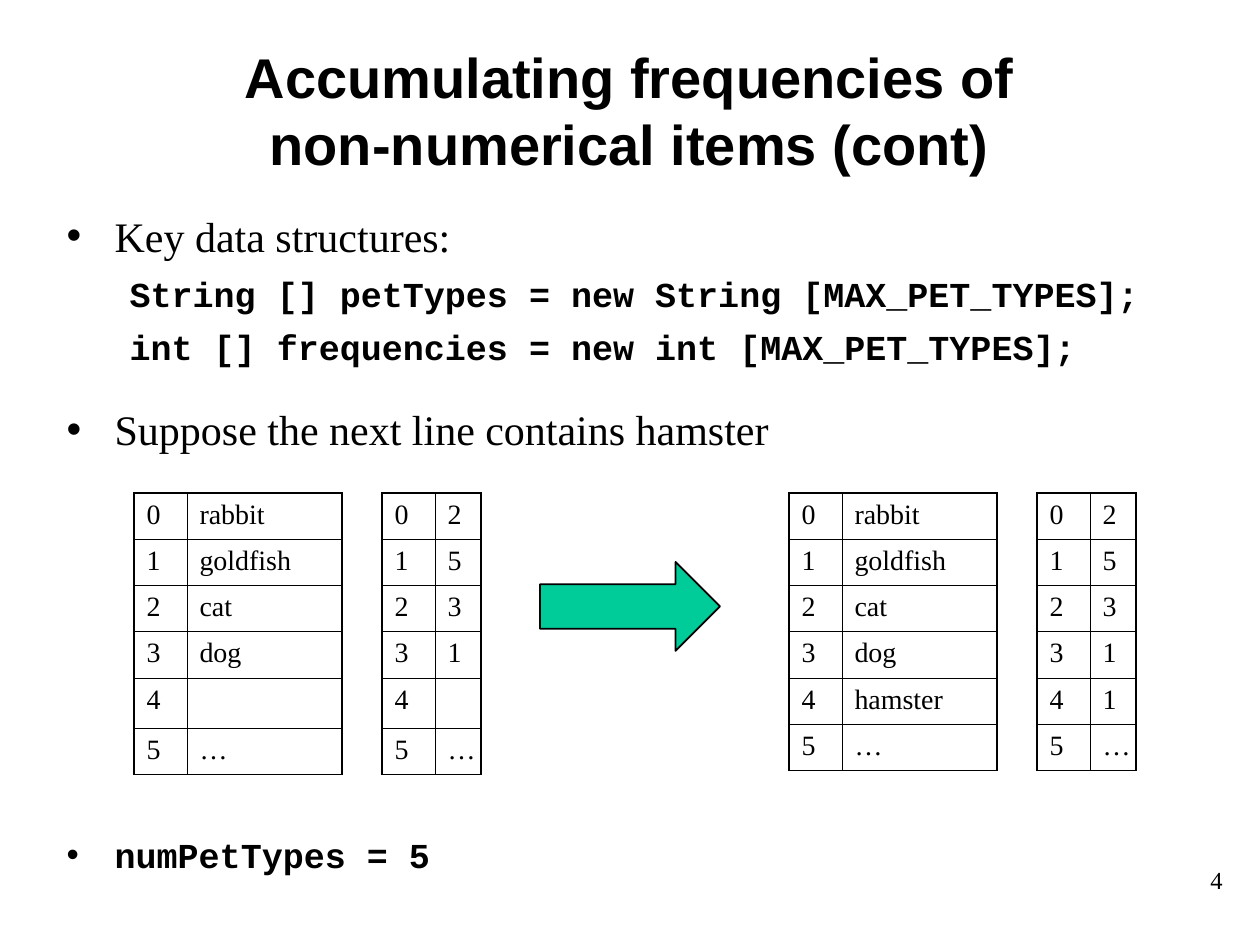
from dataclasses import dataclass

from lxml import etree
from pptx import Presentation
from pptx import util as u
from pptx.dml import color
from pptx.enum import shapes, text
from pptx.oxml import ns

SCALE = 914400 / 126


def px(length):
    return u.Emu(round(length * SCALE))


@dataclass(frozen=True)
class Theme:
    ink: str = "000000"
    accent: str = "00CC99"
    heading: str = "Arial"
    prose: str = "Times New Roman"
    code: str = "Courier New"
    title_size: int = 32
    prose_size: int = 24
    code_size: int = 20
    cell_size: int = 16
    number_size: int = 14
    outer_line: float = 1.08
    inner_line: float = 0.45


class Deck:
    def __init__(self, theme, width, height):
        self.theme = theme
        self.presentation = Presentation()
        self.presentation.slide_width = px(width)
        self.presentation.slide_height = px(height)
        self.slide = self.presentation.slides.add_slide(self.presentation.slide_layouts[1])

    def style(self, paragraph, family, size, bold=False):
        font = paragraph.font
        font.name, font.size, font.bold = family, u.Pt(size), bold
        font.color.rgb = color.RGBColor.from_string(self.theme.ink)

    def place(self, shape, left, top, width, height):
        shape.left, shape.top = px(left), px(top)
        shape.width, shape.height = px(width), px(height)

    def title(self, lines, *box):
        heading = self.slide.shapes.title
        self.place(heading, *box)
        frame = heading.text_frame
        frame.auto_size = text.MSO_AUTO_SIZE.NONE
        frame.vertical_anchor = text.MSO_ANCHOR.MIDDLE
        paragraph = frame.paragraphs[0]
        paragraph.alignment = text.PP_ALIGN.CENTER
        for index, line in enumerate(lines):
            if index:
                paragraph.add_line_break()
            paragraph.add_run().text = line
        self.style(paragraph, self.theme.heading, self.theme.title_size, True)

    def body(self, items, *box):
        outline = self.slide.placeholders[1]
        self.place(outline, *box)
        frame = outline.text_frame
        frame.auto_size = text.MSO_AUTO_SIZE.NONE
        for index, (words, is_code, bulleted, gap) in enumerate(items):
            paragraph = frame.add_paragraph() if index else frame.paragraphs[0]
            paragraph.text = words
            properties = paragraph._p.get_or_add_pPr()
            properties.set("marL", str(px(48 if bulleted else 63)))
            properties.set("indent", str(px(-48 if bulleted else 0)))
            if not bulleted:
                etree.SubElement(properties, ns.qn("a:buNone"))
            paragraph.space_before = u.Pt(gap)
            if is_code:
                self.style(paragraph, self.theme.code, self.theme.code_size, True)
            else:
                self.style(paragraph, self.theme.prose, self.theme.prose_size)

    def border(self, cell, side, width):
        line = etree.SubElement(cell._tc.get_or_add_tcPr(), ns.qn(f"a:ln{side}"), w=str(u.Pt(width)))
        fill = etree.SubElement(line, ns.qn("a:solidFill"))
        etree.SubElement(fill, ns.qn("a:srgbClr"), val=self.theme.ink)

    def array(self, values, left, top, widths, height):
        last = len(values) - 1
        frame = self.slide.shapes.add_table(
            len(values), 2, px(left), px(top), px(sum(widths)), px(height))
        grid = frame.table
        grid.first_row = grid.horz_banding = False
        for column, width in zip(grid.columns, widths):
            column.width = px(width)
        for row, value in enumerate(values):
            for column, words in enumerate((str(row), value)):
                cell = grid.cell(row, column)
                edges = {"L": column == 0, "R": column == 1, "T": row == 0, "B": row == last}
                for side, outer in edges.items():
                    self.border(cell, side, self.theme.outer_line if outer else self.theme.inner_line)
                cell.fill.background()
                if words:
                    paragraph = cell.text_frame.paragraphs[0]
                    paragraph.text = words
                    paragraph.space_before = u.Pt(4)
                    self.style(paragraph, self.theme.prose, self.theme.cell_size)

    def arrow(self, *box):
        arrow = self.slide.shapes.add_shape(shapes.MSO_SHAPE.RIGHT_ARROW, *map(px, box))
        arrow.shadow.inherit = False
        arrow.fill.solid()
        arrow.fill.fore_color.rgb = color.RGBColor.from_string(self.theme.accent)
        arrow.line.color.rgb = color.RGBColor.from_string(self.theme.ink)
        arrow.line.width = u.Pt(1)

    def page_number(self, number, *box):
        frame = self.slide.shapes.add_textbox(*map(px, box)).text_frame
        frame.word_wrap = True
        paragraph = frame.paragraphs[0]
        paragraph.text = number
        paragraph.alignment = text.PP_ALIGN.RIGHT
        self.style(paragraph, self.theme.prose, self.theme.number_size)


def main():
    deck = Deck(Theme(), 1260, 945)
    deck.page_number("4", 1057, 859, 178, 63)
    deck.title(["Accumulating frequencies of", "non-numerical items (cont)"], 94, 45, 1071, 129)
    deck.body([
        ("Key data structures:", False, True, 6),
        ("String [] petTypes = new String [MAX_PET_TYPES];", True, False, 7),
        ("int [] frequencies = new int [MAX_PET_TYPES];", True, False, 6),
        ("Suppose the next line contains hamster", False, True, 20.5),
        ("numPetTypes = 5", True, True, 217),
    ], 54, 204, 1150, 684)

    index_width, pet_width, count_width = 53, 155, 46
    states = [
        (134, ["rabbit", "goldfish", "cat", "dog", "", "…"], ["2", "5", "3", "1", "", "…"]),
        (789, ["rabbit", "goldfish", "cat", "dog", "hamster", "…"], ["2", "5", "3", "1", "1", "…"]),
    ]
    for left, pets, counts in states:
        deck.array(pets, left, 493, (index_width, pet_width), 277)
        deck.array(counts, left + 248, 493, (index_width, count_width), 277)
    deck.arrow(540, 562, 180, 89)
    deck.presentation.save("out.pptx")


if __name__ == "__main__":
    main()
